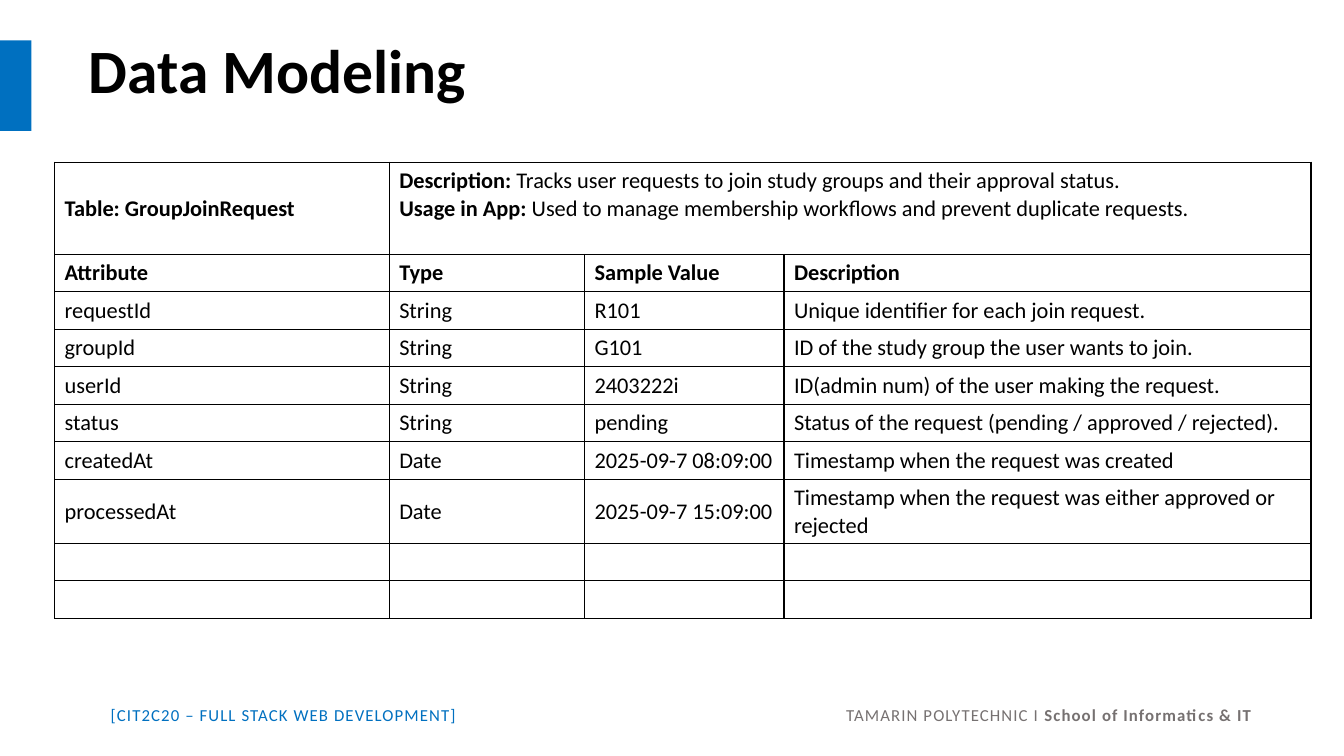
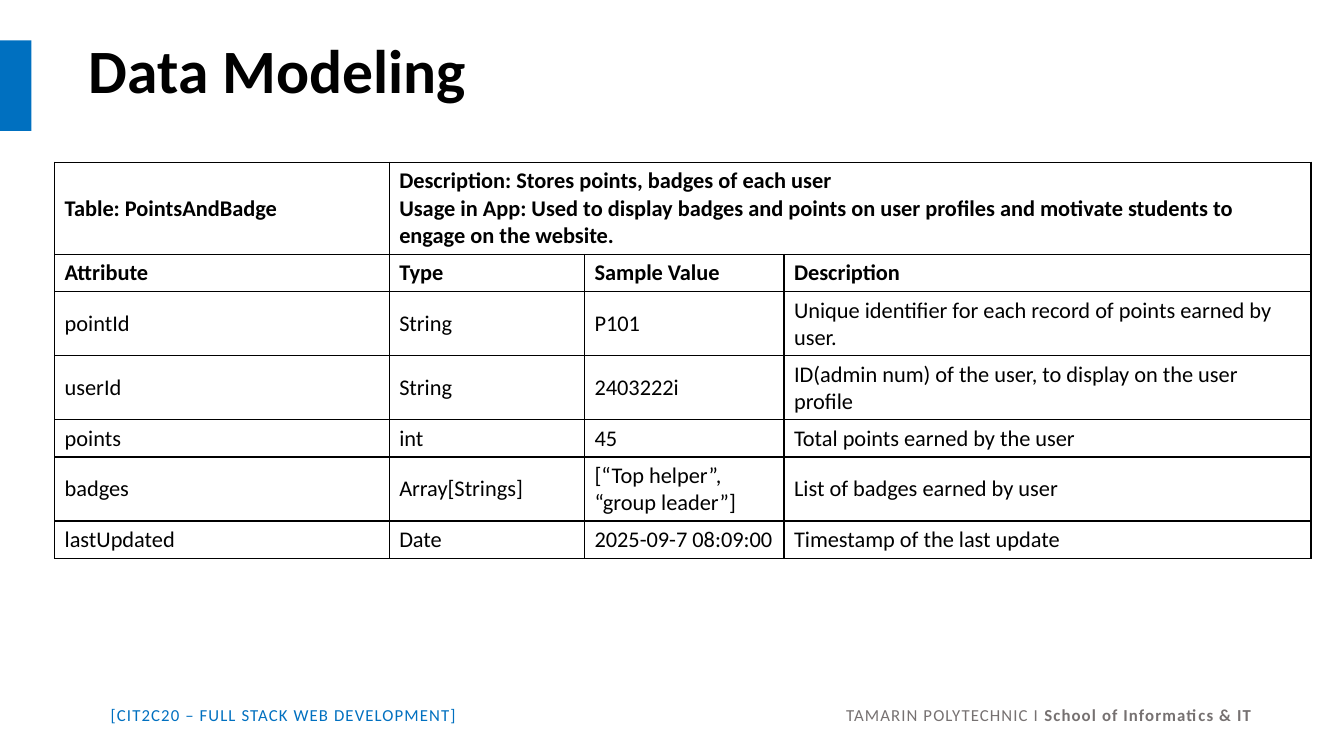
from dataclasses import dataclass

from lxml import etree
from pptx import Presentation
from pptx.dml.color import RGBColor
from pptx.enum import shapes, text
from pptx.oxml import ns
from pptx.util import Pt


@dataclass(frozen=True)
class Theme:
    font: str = "Calibri"
    black: RGBColor = RGBColor(0x00, 0x00, 0x00)
    white: RGBColor = RGBColor(0xFF, 0xFF, 0xFF)
    blue: RGBColor = RGBColor(0x00, 0x70, 0xC0)
    grey: RGBColor = RGBColor(0x76, 0x71, 0x71)
    title_size: int = 44
    table_size: int = 16
    footer_size: int = 12


THEME = Theme()
COLUMN_WIDTHS = [239, 139.5, 142.5, 376.5]
HEADINGS = ["Attribute", "Type", "Sample Value", "Description"]
HEADER_HEIGHT, ROW_HEIGHT = 65.8, 26.8
BORDER_WIDTH = 1

# Each footer: left, width, alignment, colour, (text, bold) spans
FOOTERS = [
    (72, 360, text.PP_ALIGN.LEFT, THEME.blue,
     [("[CIT2C20 – FULL STACK WEB DEVELOPMENT]", False)]),
    (540, 361, text.PP_ALIGN.RIGHT, THEME.grey,
     [("TAMARIN POLYTECHNIC I ", False), ("School of Informatics & IT", True)]),
]

# Each model: name, header lines of (text, bold) spans, attribute rows
MODELS = [
    ("Table: GroupJoinRequest",
     [[("Description: ", True),
       ("Tracks user requests to join study groups and their approval status.", False)],
      [("Usage in App:", True),
       (" Used to manage membership workflows and prevent duplicate requests.", False)]],
     [["requestId", "String", "R101", "Unique identifier for each join request."],
      ["groupId", "String", "G101", "ID of the study group the user wants to join."],
      ["userId", "String", "2403222i", "ID(admin num) of the user making the request."],
      ["status", "String", "pending",
       "Status of the request (pending / approved / rejected)."],
      ["createdAt", "Date", "2025-09-7 08:09:00",
       "Timestamp when the request was created"],
      ["processedAt", "Date", "2025-09-7 15:09:00",
       "Timestamp when the request was either approved or rejected"],
      [""] * 4,
      [""] * 4]),
    ("Table: PointsAndBadge",
     [[("Description: Stores points, badges of each user", True)],
      [("Usage in App: Used to display badges and points on user profiles and "
        "motivate students to engage on the website.", True)]],
     [["pointId", "String", "P101",
       "Unique identifier for each record of points earned by user."],
      ["userId", "String", "2403222i",
       "ID(admin num) of the user, to display on the user profile"],
      ["points", "int", "45", "Total points earned by the user"],
      ["badges", "Array[Strings]", "[“Top helper”, “group leader”]",
       "List of badges earned by user"],
      ["lastUpdated", "Date", "2025-09-7 08:09:00", "Timestamp of the last update"]]),
]


def write(para, spans, size, color):
    """Fill a paragraph with (text, bold) spans."""
    para.font.name = THEME.font
    para.font.size = Pt(size)
    para.font.color.rgb = color
    for wording, bold in spans:
        span = para.add_run()
        span.text = wording
        span.font.bold = bold


def style_cell(cell):
    """Give a cell a white fill, middle anchor and black borders."""
    cell.vertical_anchor = text.MSO_ANCHOR.MIDDLE
    cell.fill.solid()
    cell.fill.fore_color.rgb = THEME.white
    properties = cell._tc.get_or_add_tcPr()
    for index, side in enumerate(("lnL", "lnR", "lnT", "lnB")):
        line = etree.Element(ns.qn(f"a:{side}"), w=str(Pt(BORDER_WIDTH)))
        fill = etree.SubElement(line, ns.qn("a:solidFill"))
        etree.SubElement(fill, ns.qn("a:srgbClr"), val=str(THEME.black))
        properties.insert(index, line)


deck = Presentation()
deck.slide_width, deck.slide_height = Pt(960), Pt(540)
title_layout = deck.slide_layouts[5]

for model_name, header_lines, attributes in MODELS:
    page = deck.slides.add_slide(title_layout)

    # Footers
    for left, width, align, color, spans in FOOTERS:
        box = page.shapes.add_textbox(Pt(left), Pt(499.7), Pt(width), Pt(21.8))
        box.text_frame.word_wrap = True
        para = box.text_frame.paragraphs[0]
        para.alignment = align
        write(para, spans, THEME.footer_size, color)
        for span in para.runs:
            span.font._element.set("spc", "80")

    # Accent bar
    bar = page.shapes.add_shape(
        shapes.MSO_SHAPE.RECTANGLE, Pt(0), Pt(28.8), Pt(22.4), Pt(64.8))
    bar.shadow.inherit = False
    bar.fill.solid()
    bar.fill.fore_color.rgb = THEME.blue
    bar.line.fill.background()

    # Title
    title = page.shapes.title
    title.left, title.top, title.width, title.height = Pt(56.2), Pt(0), Pt(828), Pt(104.4)
    title.text_frame.vertical_anchor = text.MSO_ANCHOR.MIDDLE
    para = title.text_frame.paragraphs[0]
    para.alignment = text.PP_ALIGN.LEFT
    para.line_spacing = 0.9
    write(para, [("Data Modeling", True)], THEME.title_size, THEME.black)

    # Data model table
    rows = [[model_name, "", "", ""], HEADINGS, *attributes]
    heights = [HEADER_HEIGHT] + [ROW_HEIGHT] * (len(rows) - 1)
    table = page.shapes.add_table(
        len(rows), len(COLUMN_WIDTHS), Pt(39), Pt(115.9),
        Pt(sum(COLUMN_WIDTHS)), Pt(sum(heights))).table
    table.first_row = table.horz_banding = False
    for column, width in zip(table.columns, COLUMN_WIDTHS):
        column.width = Pt(width)
    for row_index, (row, height) in enumerate(zip(rows, heights)):
        table.rows[row_index].height = Pt(height)
        for column_index, wording in enumerate(row):
            cell = table.cell(row_index, column_index)
            style_cell(cell)
            spans = [(wording, row_index < 2)] if wording else []
            write(cell.text_frame.paragraphs[0], spans, THEME.table_size, THEME.black)

    # Description across the remaining header cells
    summary = table.cell(0, 1)
    summary.merge(table.cell(0, 3))
    summary.vertical_anchor = text.MSO_ANCHOR.TOP
    frame = summary.text_frame
    for index, spans in enumerate(header_lines):
        para = frame.add_paragraph() if index else frame.paragraphs[0]
        write(para, spans, THEME.table_size, THEME.black)

deck.save("out.pptx")
